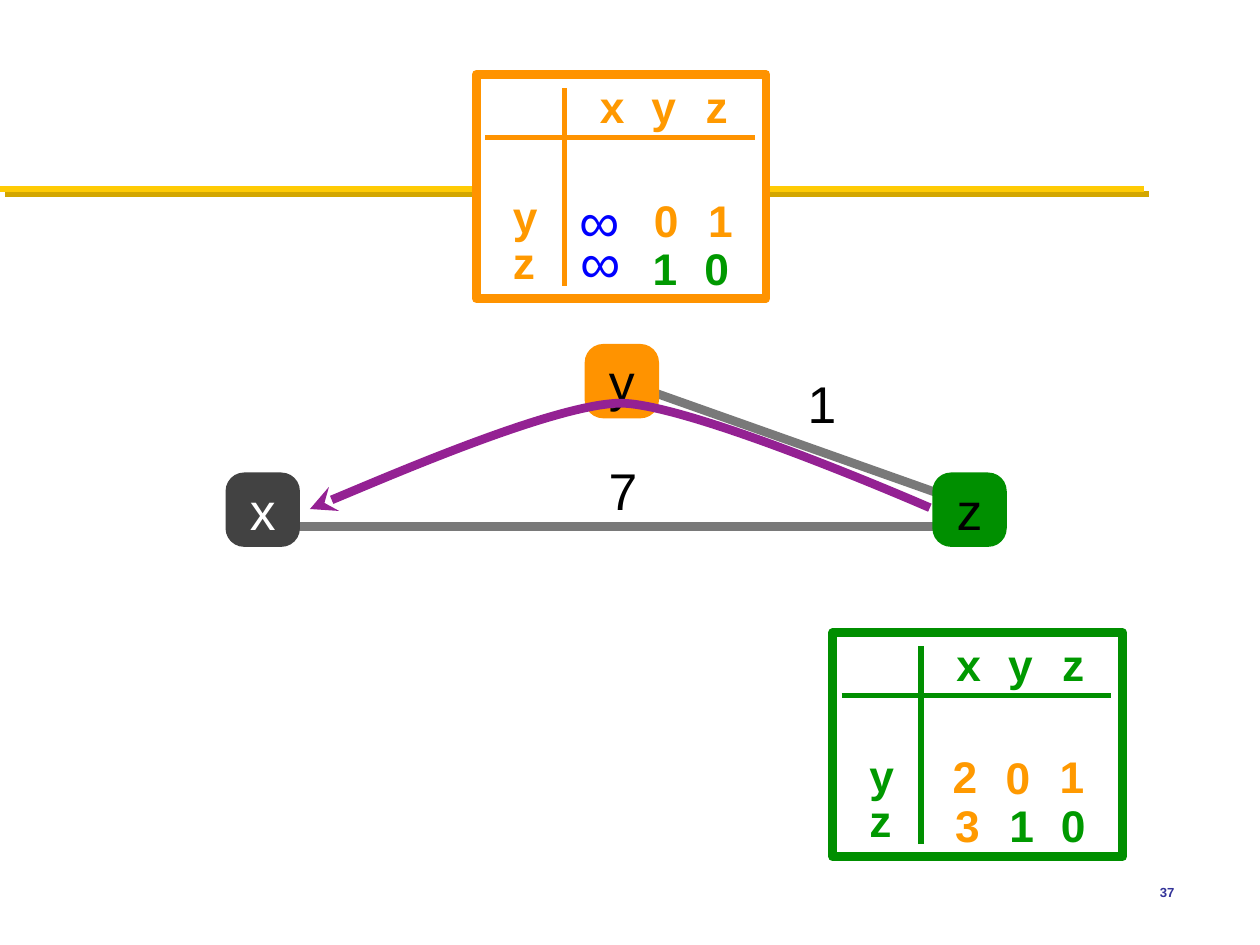
from dataclasses import dataclass

from lxml import etree
from pptx import Presentation
from pptx import util as u
from pptx.dml.color import RGBColor
from pptx.enum import shapes, text
from pptx.oxml.ns import qn

WIDTH, HEIGHT = u.Inches(10), u.Inches(7.5)
COLUMN, ROW = WIDTH / 100, HEIGHT / 75
INSET = 0.4
COLORS = {
    "white": "FFFFFF", "black": "000000", "gold": "FFCB05", "shade": "D3A600",
    "orange": "FF9300", "green": "008F00", "dark": "424242", "link": "797979",
    "route": "942193", "orange_text": "FF9900", "green_text": "009900",
    "blue": "0000FF", "number": "333399",
}


@dataclass
class Node:
    name: str
    left: float
    top: float
    fill: str
    color: str


@dataclass
class Line:
    start: tuple[float, float]
    end: tuple[float, float]
    color: str
    weight: float


@dataclass
class Entry:
    value: str
    left: float
    top: float
    color: str
    size: float = 25.3


@dataclass
class CostTable:
    left: float
    top: float
    color: str
    label_color: str
    fill: str | None
    entries: list[Entry]


def x(columns: float) -> u.Emu:
    return u.Emu(round(columns * COLUMN))


def y(rows: float) -> u.Emu:
    return u.Emu(round(rows * ROW))


def rgb(name: str) -> RGBColor:
    return RGBColor.from_string(COLORS[name])


def write(shape, words: str, *, size: float, color: str, bold: bool = False,
          align=text.PP_ALIGN.LEFT, inset: tuple[float, float] = (INSET, INSET)) -> None:
    frame = shape.text_frame
    frame.word_wrap = True
    frame.vertical_anchor = text.MSO_ANCHOR.MIDDLE
    frame.margin_left = frame.margin_right = x(inset[0])
    frame.margin_top = frame.margin_bottom = y(inset[1])
    para = frame.paragraphs[0]
    para.alignment = align
    span = para.add_run()
    span.text = words
    span.font.name, span.font.size, span.font.bold = "Arial", u.Pt(size), bold
    span.font.color.rgb = rgb(color)


def add_label(page, words: str, left: float, top: float, width: float, height: float,
              **style) -> None:
    box = page.shapes.add_textbox(x(left), y(top), x(width), y(height))
    write(box, words, **style)


def add_line(page, line: Line):
    connector = page.shapes.add_connector(
        shapes.MSO_CONNECTOR.STRAIGHT, x(line.start[0]), y(line.start[1]),
        x(line.end[0]), y(line.end[1]))
    connector.line.color.rgb = rgb(line.color)
    connector.line.width = u.Pt(line.weight)
    return etree.SubElement(connector._element.spPr, qn("a:effectLst"))


def add_rule(page) -> None:
    effects = add_line(page, Line((0, 15), (90.8, 15), "gold", 3.5))
    shadow = etree.SubElement(effects, qn("a:outerShdw"), dist=str(u.Pt(4.2)),
                              dir=str(45 * 60000), algn="ctr", rotWithShape="0")
    etree.SubElement(shadow, qn("a:srgbClr"), val=COLORS["shade"])


def add_node(page, node: Node) -> None:
    shape = page.shapes.add_shape(shapes.MSO_SHAPE.ROUNDED_RECTANGLE,
                                  x(node.left), y(node.top), x(5.9), y(5.9))
    shape.adjustments[0] = 0.25
    shape.shadow.inherit = False
    shape.fill.solid()
    shape.fill.fore_color.rgb = rgb(node.fill)
    shape.line.fill.background()
    write(shape, node.name, size=29.5, color=node.color,
          align=text.PP_ALIGN.CENTER, inset=(0, 0))


def add_frame(page, table: CostTable) -> None:
    frame = page.shapes.add_shape(shapes.MSO_SHAPE.RECTANGLE, x(table.left),
                                  y(table.top), x(23), y(17.8))
    frame.shadow.inherit = False
    if table.fill:
        frame.fill.solid()
        frame.fill.fore_color.rgb = rgb(table.fill)
    else:
        frame.fill.background()
    frame.line.color.rgb = rgb(table.color)
    frame.line.width = u.Pt(5)


def add_cost_table(page, table: CostTable) -> None:
    left, top = table.left, table.top
    add_frame(page, table)
    add_line(page, Line((left + 0.7, top + 5), (left + 22.1, top + 5), table.color, 3))
    add_line(page, Line((left + 7, top + 16.8), (left + 7, top + 1.1), table.color, 3))
    label = {"size": 25.3, "color": table.label_color, "bold": True}
    for name, offset in zip("xyz", (9.4, 13.5, 17.8)):
        add_label(page, name, left + offset, top + 0.2, 2.9, 4.6, **label)
    for name, offset in zip("yz", (8.7, 12.3)):
        add_label(page, name, left + 2.5, top + offset, 2.6, 5.1, **label)
    for entry in table.entries:
        infinite = entry.value == "∞"
        add_label(page, entry.value, left + entry.left, top + entry.top,
                  4.8 if infinite else 1.9, 5.3 if infinite else 5.1,
                  size=entry.size, color=entry.color, bold=not infinite)


def add_route(page, points: list[tuple[float, float]]) -> None:
    (start, *rest) = [(x(column), y(row)) for column, row in points]
    builder = page.shapes.build_freeform(*start, scale=1.0)
    builder.add_line_segments(rest, close=False)
    route = builder.convert_to_shape()
    route.shadow.inherit = False
    route.fill.background()
    route.line.color.rgb = rgb("route")
    route.line.width = u.Pt(5)
    etree.SubElement(route.line._get_or_add_ln(), qn("a:tailEnd"), type="stealth")
    segments = list(route._element.iter(qn("a:lnTo")))
    outline = segments[0].getparent()
    for first in range(0, len(segments), 3):
        curve = etree.SubElement(outline, qn("a:cubicBezTo"))
        for segment in segments[first:first + 3]:
            curve.append(segment[0])
            outline.remove(segment)


TABLES = [
    CostTable(37.8, 5.9, "orange", "orange_text", "white", [
        Entry("∞", 7.8, 8.9, "blue", 32.3), Entry("0", 13.7, 9, "orange_text"),
        Entry("1", 18, 9, "orange_text"),
        Entry("∞", 7.9, 12.2, "blue", 32.3), Entry("1", 13.6, 12.8, "green_text"),
        Entry("0", 17.7, 12.8, "green_text")]),
    CostTable(66.1, 50.2, "green", "green_text", None, [
        Entry("2", 9.1, 8.8, "orange_text"), Entry("0", 13.3, 8.9, "orange_text"),
        Entry("1", 17.6, 8.8, "orange_text"),
        Entry("3", 9.3, 12.7, "orange_text"), Entry("1", 13.6, 12.7, "green_text"),
        Entry("0", 17.7, 12.7, "green_text")]),
]
LINKS = [Line((23, 41.8), (76.3, 41.8), "link", 5),
         Line((50.9, 30.8), (76.3, 39.8), "link", 5)]
NODES = [Node("x", 17.9, 37.5, "dark", "white"),
         Node("z", 74, 37.5, "green", "black"),
         Node("y", 46.4, 27.3, "orange", "black")]
ROUTE = [(73.8, 40.3), (73.8, 40.3), (54.8, 32), (49.2, 32),
         (44, 32.1), (24.6, 40.4), (24.6, 40.4)]

deck = Presentation()
deck.slide_width, deck.slide_height = WIDTH, HEIGHT
page = deck.slides.add_slide(deck.slide_layouts[6])
add_rule(page)
for link in LINKS:
    add_line(page, link)
for node in NODES:
    add_node(page, node)
for cost, left, top in (("7", 47.9, 36), ("1", 63.7, 29.1)):
    add_label(page, cost, left, top, 2.9, 5.8, size=29.5, color="black")
for table in TABLES:
    add_cost_table(page, table)
add_route(page, ROUTE)
add_label(page, "37", 87.5, 68.3, 6.7, 5, size=7.5, color="number", bold=True,
          align=text.PP_ALIGN.RIGHT, inset=(1, 0.5))
deck.save("out.pptx")
